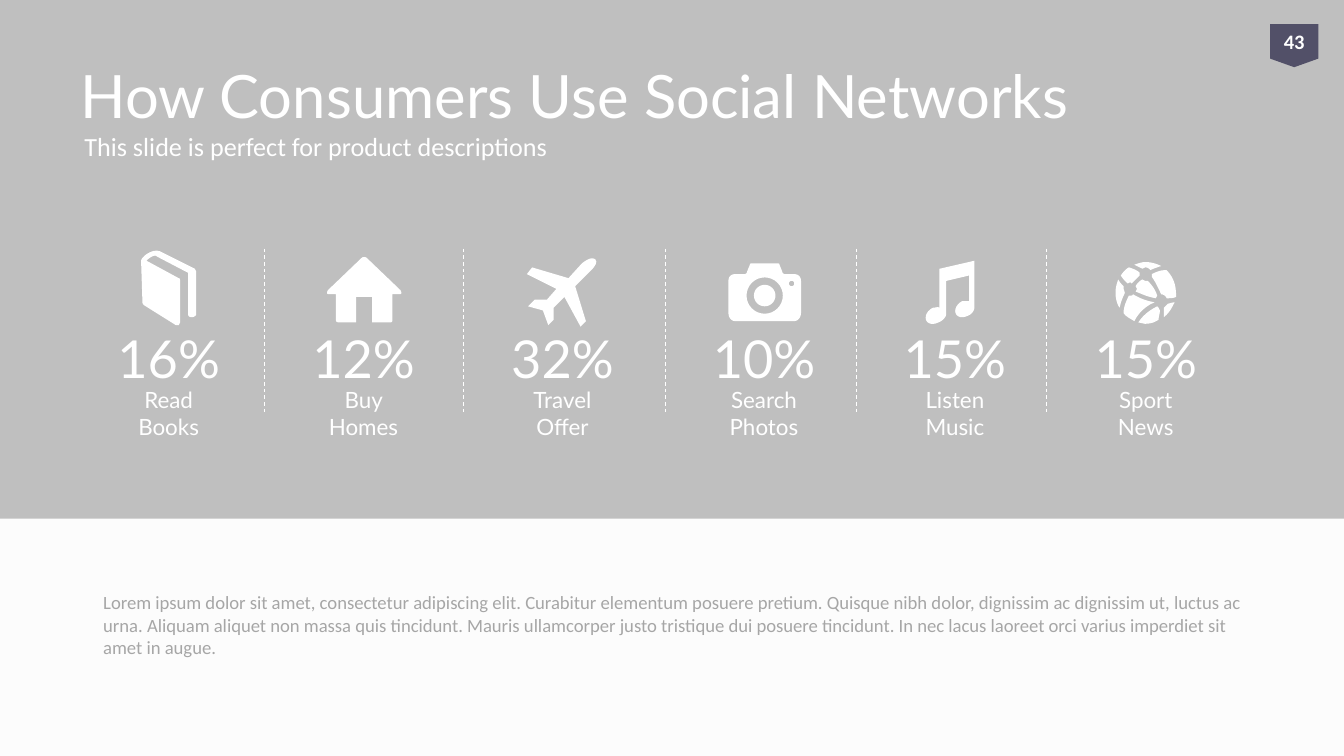
import math
import pptx
import pptx.util
import pptx.dml.color
import pptx.enum.dml
import pptx.enum.shapes
import pptx.enum.text
import pptx.oxml
import pptx.oxml.ns

Inches, Pt = pptx.util.Inches, pptx.util.Pt
RGBColor = pptx.dml.color.RGBColor
ALIGN, ANCHOR = pptx.enum.text.PP_ALIGN, pptx.enum.text.MSO_ANCHOR
SHAPE = pptx.enum.shapes.MSO_SHAPE

WHITE = RGBColor(0xFF, 0xFF, 0xFF)
PAPER = RGBColor(0xFC, 0xFC, 0xFC)
SILVER = RGBColor(0xBF, 0xBF, 0xBF)
GRAY = RGBColor(0xA6, 0xA6, 0xA6)
INDIGO = RGBColor(0x52, 0x50, 0x68)

W = 10
H = W * 9 / 16
STAT_Y, STAT_W, STAT_H = 1.85, 1.01, 1.28
DIVIDER_GAP, DIVIDER_H = 0.23, 1.23


def circle(cx, cy, radius, n=32):
    """Return a round contour as n points."""
    angles = [2 * math.pi * i / n for i in range(n)]
    return [(cx + radius * math.cos(a), cy + radius * math.sin(a)) for a in angles]


BOOK = [[(70, 15), (44, 2), (40, 0, 33, 4, 31, 7), (30, 8, 30, 9, 30, 10), (31, 40),
         (31, 40, 31, 41, 32, 42), (56, 57), (58, 57), (59, 55), (59, 24),
         (59, 23, 59, 22, 58, 22), (34, 9), (35, 8, 36, 7, 38, 6),
         (40, 5, 41, 5, 42, 6), (65, 18), (65, 49), (65, 51, 67, 51, 68, 51),
         (69, 51, 71, 50, 71, 49), (71, 17)]]
HOUSE = [[(78, 31), (53, 7), (52, 6, 50, 6, 49, 7), (24, 31), (23, 33, 23, 34, 25, 34),
          (30, 34), (30, 53), (30, 54, 30, 55, 33, 55), (45, 55), (45, 36), (57, 36),
          (57, 55), (70, 55), (72, 55, 72, 54, 72, 53), (72, 34), (77, 34),
          (79, 34, 79, 33, 78, 31)]]
PLANE = [[(64, 58), (68, 54), (60, 28), (71, 17), (71, 17, 78, 11, 75, 8),
          (72, 5, 65, 11, 65, 11), (55, 22), (28, 14), (24, 19), (46, 30), (39, 38),
          (30, 38), (25, 43), (36, 46), (40, 57), (44, 53), (44, 44), (52, 36)]]
CAMERA = [[(73, 19), (66, 19), (65, 19, 64, 18, 64, 17), (62, 12), (62, 11, 61, 11, 60, 11),
           (42, 11), (41, 11, 40, 11, 40, 12), (38, 17), (38, 18, 37, 19, 36, 19),
           (29, 19), (26, 19, 24, 21, 24, 24), (24, 48), (24, 51, 26, 54, 29, 54),
           (73, 54), (76, 54, 78, 51, 78, 48), (78, 24), (78, 21, 76, 19, 73, 19)],
          circle(51, 35, 13.5), circle(51, 35, 8), circle(71, 26, 2)]
NOTE = [[(39, 15), (39, 44), (38, 43, 36, 44, 34, 44), (30, 46, 28, 50, 29, 53),
         (30, 56, 34, 57, 38, 55), (41, 54, 44, 51, 44, 49), (44, 24), (61, 20), (61, 39),
         (59, 39, 58, 39, 56, 39), (52, 41, 50, 45, 51, 48), (52, 51, 56, 52, 60, 50),
         (63, 49, 65, 46, 65, 44), (65, 9)]]
BALL = [[(39, 25), (40, 26), (42, 24, 44, 22, 46, 20), (46, 18), (44, 16, 41, 15, 38, 14),
         (36, 15, 34, 17, 32, 20), (33, 22, 35, 24, 37, 26)],
        [(34, 30), (34, 28), (33, 27, 31, 25, 30, 23), (29, 26, 28, 29, 28, 33),
         (28, 37, 29, 41, 31, 44), (32, 40, 33, 37, 35, 33)],
        [(50, 14), (52, 14, 53, 15, 54, 16), (56, 15, 59, 14, 62, 13),
         (58, 11, 54, 10, 50, 10), (48, 10, 45, 11, 42, 12), (44, 13, 46, 14, 48, 15)],
        [(58, 37), (59, 35), (58, 31, 55, 27, 52, 24), (50, 24), (48, 23),
         (46, 24, 44, 26, 43, 28), (44, 30), (43, 32), (48, 34, 52, 36, 58, 37)],
        [(64, 44), (64, 46), (64, 48, 64, 50, 64, 51), (68, 48, 70, 44, 72, 40),
         (70, 40, 68, 41, 67, 41)],
        [(57, 40), (51, 39, 46, 37, 41, 34), (41, 35, 40, 35, 39, 35), (38, 35),
         (36, 39, 34, 43, 34, 48), (36, 51, 39, 52, 42, 54), (45, 48, 50, 43, 57, 40)],
        [(66, 16), (62, 16, 59, 17, 55, 19), (55, 21), (58, 25, 60, 30, 62, 34),
         (64, 34, 66, 36, 66, 37), (69, 37, 71, 37, 73, 36), (73, 33),
         (73, 26, 70, 20, 66, 16)],
        [(59, 43), (53, 46, 48, 50, 45, 55), (50, 56), (54, 56, 57, 55, 60, 53),
         (60, 51, 61, 49, 61, 46), (60, 44)]]

STATS = [(0.75, "16%", "Read Books", BOOK), (2.2, "12%", "Buy Homes", HOUSE),
         (3.68, "32%", "Travel Offer", PLANE), (5.18, "10%", "Search Photos", CAMERA),
         (6.6, "15%", "Listen Music", NOTE), (8.02, "15%", "Sport News", BALL)]
BODY = ("Lorem ipsum dolor sit amet, consectetur adipiscing elit. Curabitur elementum posuere "
        "pretium. Quisque nibh dolor, dignissim ac dignissim ut, luctus ac urna. Aliquam aliquet "
        "non massa quis tincidunt. Mauris ullamcorper justo tristique dui posuere tincidunt. In "
        "nec lacus laoreet orci varius imperdiet sit amet in augue.")


def write(sp, text, size, font="Lato", color=WHITE, bold=False, align=ALIGN.LEFT,
          anchor=ANCHOR.TOP, inset=0.1):
    """Fill a shape with one formatted paragraph."""
    tf = sp.text_frame
    tf.word_wrap, tf.vertical_anchor = True, anchor
    tf.margin_left = tf.margin_right = Inches(inset)
    p = tf.paragraphs[0]
    p.alignment = align
    r = p.add_run()
    r.text = text
    r.font.name, r.font.size, r.font.bold = font, Pt(size), bold
    r.font.color.rgb = color


def text_box(s, x, y, w, h, text, size, **fmt):
    """Add a text box at the given place."""
    write(s.shapes.add_textbox(Inches(x), Inches(y), Inches(w), Inches(h)), text, size, **fmt)


def paint(sp, color):
    """Give a shape a plain fill without line or shadow."""
    sp.shadow.inherit = False
    sp.fill.solid()
    sp.fill.fore_color.rgb = color
    sp.line.fill.background()


def block(s, kind, x, y, w, h, color):
    """Add a plain preset shape."""
    sp = s.shapes.add_shape(kind, Inches(x), Inches(y), Inches(w), Inches(h))
    paint(sp, color)
    return sp


def flatten(contour, steps=6):
    """Turn points and cubic curves into a list of points."""
    pts = []
    for seg in contour:
        if len(seg) == 2:
            pts.append(seg)
            continue
        a, b, c, d = pts[-1], seg[:2], seg[2:4], seg[4:]
        for t in (i / steps for i in range(1, steps + 1)):
            u = 1 - t
            pts.append(tuple(u**3 * a[k] + 3 * u * u * t * b[k] + 3 * u * t * t * c[k]
                             + t**3 * d[k] for k in (0, 1)))
    return pts


def icon(s, x, y, contours):
    """Draw contours, given in hundredths of an inch from x, y."""
    builder = None
    for contour in contours:
        pts = [(Inches(x + px / 100), Inches(y + py / 100)) for px, py in flatten(contour)]
        if builder is None:
            builder = s.shapes.build_freeform(*pts[0])
        else:
            builder.move_to(*pts[0])
        builder.add_line_segments(pts[1:], close=True)
    paint(builder.convert_to_shape(), WHITE)


def header(s, x, y, w, h):
    """Place the title and subtitle in the top panel."""
    block(s, SHAPE.RECTANGLE, x, y, w, h, SILVER)
    text_box(s, x + 0.05 * w, y + 0.06 * h, 0.9 * w, 0.94, "How Consumers Use Social Networks",
             32, anchor=ANCHOR.MIDDLE)
    text_box(s, x + 0.053 * w, y + 0.23 * h, 0.9 * w, 0.4,
             "This slide is perfect for product descriptions", 14, font="Calibri",
             anchor=ANCHOR.MIDDLE)


def stat(s, x, y, w, h, value, label, contours):
    """Place an icon, a percentage and a label in a column."""
    icon(s, x, y, contours)
    text_box(s, x, y + 0.415 * h, w, 0.39 * h, value, 28, align=ALIGN.CENTER)
    text_box(s, x, y + 0.76 * h, w, 0.24 * h, label, 12, align=ALIGN.CENTER, inset=0.13)


def divider(s, x, y, h):
    """Draw a dashed vertical line."""
    ln = s.shapes.add_connector(pptx.enum.shapes.MSO_CONNECTOR.STRAIGHT, Inches(x), Inches(y),
                                Inches(x), Inches(y + h))
    ln.line.color.rgb, ln.line.width = WHITE, Pt(0.5)
    ln.line.dash_style = pptx.enum.dml.MSO_LINE.DASH
    props = ln._element.find(pptx.oxml.ns.qn("p:spPr"))
    props.append(pptx.oxml.parse_xml(f"<a:effectLst {pptx.oxml.ns.nsdecls('a')}/>"))


def badge(s, x, y, w, h, number):
    """Place the page number tag."""
    sp = block(s, SHAPE.FLOWCHART_OFFPAGE_CONNECTOR, x, y, w, h, INDIGO)
    write(sp, number, 11, font="Calibri", bold=True, align=ALIGN.CENTER, anchor=ANCHOR.MIDDLE,
          inset=0)


def main():
    """Build and save the slide."""
    prs = pptx.Presentation()
    prs.slide_width, prs.slide_height = Inches(W), Inches(H)
    s = prs.slides.add_slide(prs.slide_layouts[6])
    s.background.fill.solid()
    s.background.fill.fore_color.rgb = PAPER
    header(s, 0, 0, W, 3.86)
    for i, (x, value, label, contours) in enumerate(STATS):
        stat(s, x, STAT_Y, STAT_W, STAT_H, value, label, contours)
        if i:
            divider(s, x - DIVIDER_GAP, STAT_Y, DIVIDER_H)
    text_box(s, 0.67, 4.35, 8.74, 0.67, BODY, 10, font="Calibri", color=GRAY)
    badge(s, 9.45, 0.18, 0.36, 0.32, "43")
    prs.save("out.pptx")


if __name__ == "__main__":
    main()
